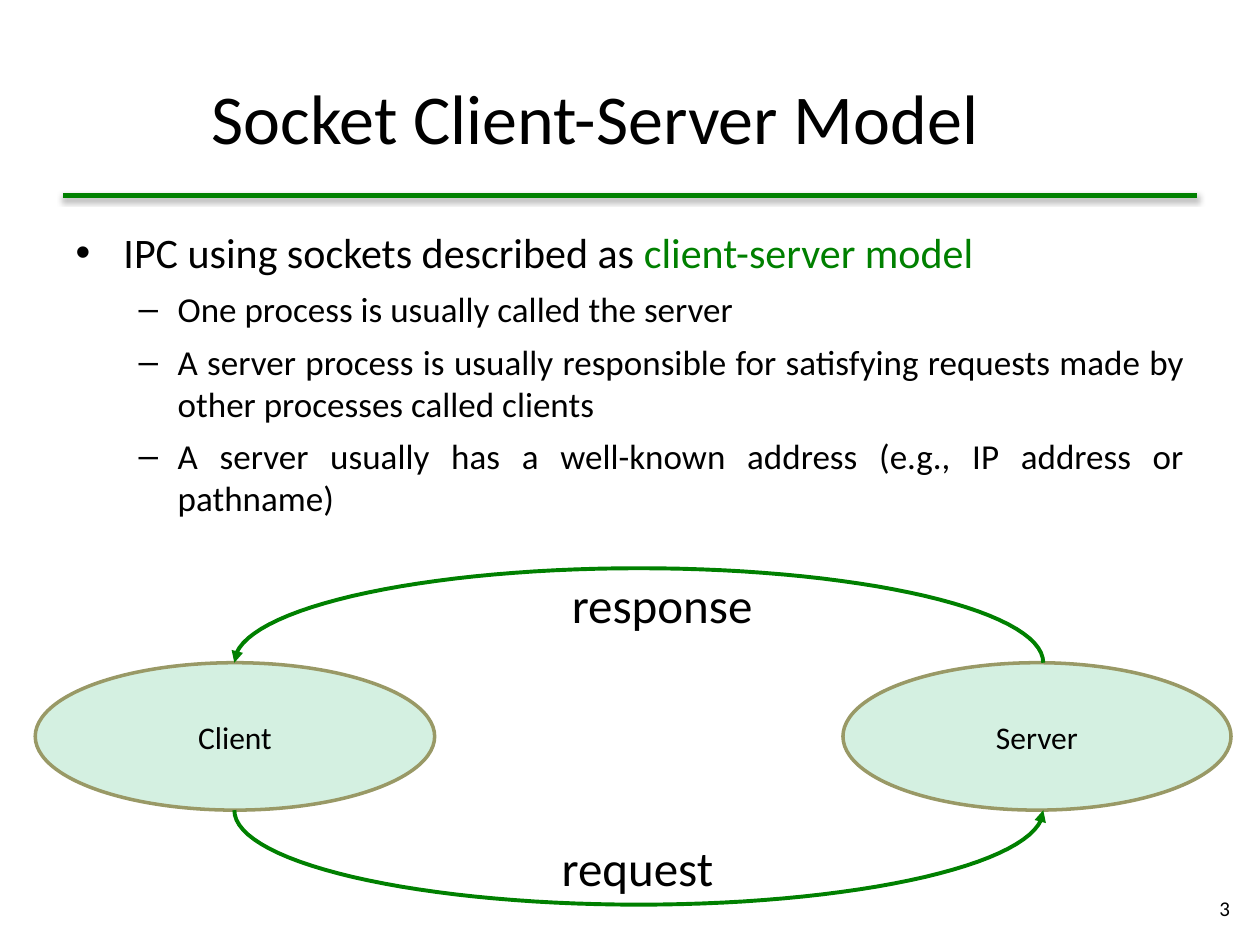
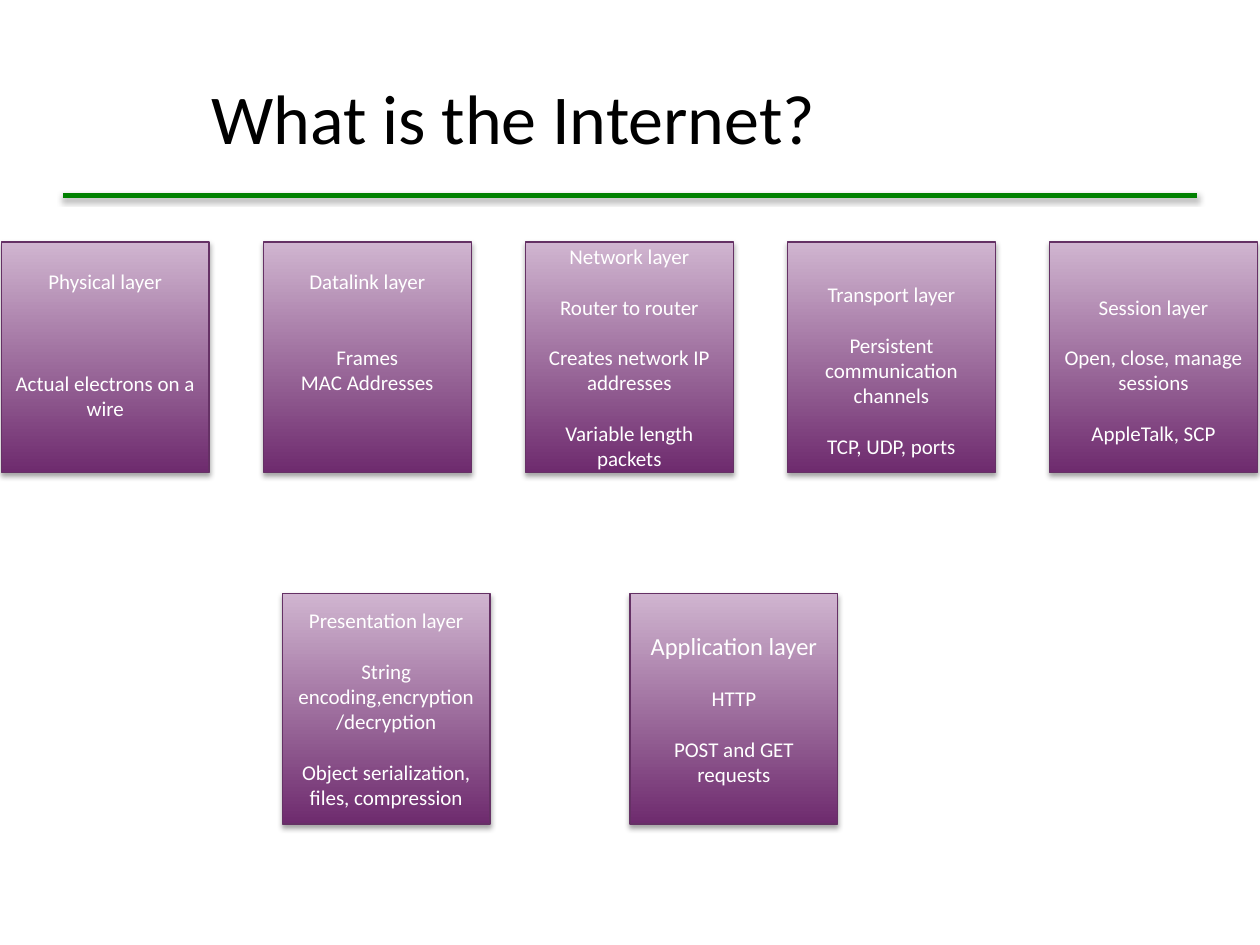
"""Build two slides: the socket client-server model and the Internet layers."""
from math import cos, pi, sin

from lxml import etree
from pptx import Presentation
from pptx.dml.color import RGBColor
from pptx.enum.shapes import MSO_CONNECTOR, MSO_SHAPE
from pptx.enum.text import MSO_ANCHOR, MSO_AUTO_SIZE, PP_ALIGN
from pptx.oxml.ns import qn
from pptx.util import Inches, Pt

LEFT, CENTER, RIGHT, JUSTIFY = PP_ALIGN.LEFT, PP_ALIGN.CENTER, PP_ALIGN.RIGHT, PP_ALIGN.JUSTIFY
MIDDLE = MSO_ANCHOR.MIDDLE
OVAL, RECT = MSO_SHAPE.OVAL, MSO_SHAPE.RECTANGLE
STRAIGHT = MSO_CONNECTOR.STRAIGHT
NO_FIT = MSO_AUTO_SIZE.NONE

FONT = "Calibri"
COLORS = {
    "text": "000000", "green": "008000", "mint": "D4F0E1", "olive": "999966",
    "plum": "6E2B6E", "lilac": "D0B5D0", "edge": "653165", "white": "FFFFFF",
}

MODEL_TITLE = "Socket Client-Server Model"
MODEL_POINTS = [
    (0, [("IPC using sockets described as ", "text"), ("client-server model", "green")]),
    (1, [("One process is usually called the server", "text")]),
    (1, [("A server process is usually responsible for satisfying requests made by "
          "other processes called clients", "text")]),
    (1, [("A server usually has a well-known address (e.g., IP address or pathname)", "text")]),
]
LEVELS = [(24, 0.38, -0.38), (20, 0.81, -0.31)]
NODES = [("Client", 0.28, 3.17), ("Server", 6.69, 3.08)]
NODE_TOP, NODE_H = 5.26, 1.17
ARC_X, ARC_RX, ARC_RY, ARC_STEPS = 5.07, 3.21, 0.75, 60
ARCS = [(NODE_TOP + NODE_H, -1, 1), (NODE_TOP, 1, -1)]
ARC_LABELS = [("request", 4.36, 6.6, 1.49), ("response", 4.44, 4.51, 1.74)]
PAGE_NUMBER = "3"

LAYERS_TITLE = "What is the Internet?"
CARD_W, CARD_H = 1.65, 1.83
LINE_PT = 14.6
LAYER_ROWS = [
    {"left": 0.01, "step": 2.08, "top": 1.92, "cards": [
        {"size": 12, "shift": -1,
         "lines": [(0, "Physical layer"), (3, "Actual electrons on a wire")]},
        {"size": 12, "shift": -2,
         "lines": [(0, "Datalink layer"), (2, "Frames"), (0, "MAC Addresses")]},
        {"size": 12, "shift": 0,
         "lines": [(0, "Network layer"), (1, "Router to router"),
                   (1, "Creates network IP addresses"), (1, "Variable length packets")]},
        {"size": 12, "shift": 1,
         "lines": [(0, "Transport layer"), (1, "Persistent communication channels"),
                   (1, "TCP, UDP, ports")]},
        {"size": 12, "shift": 1,
         "lines": [(0, "Session layer"), (1, "Open, close, manage sessions"),
                   (1, "AppleTalk, SCP")]},
    ]},
    {"left": 2.24, "step": 2.76, "top": 4.71, "cards": [
        {"size": 12, "shift": 0,
         "lines": [(0, "Presentation layer"), (1, "String encoding,encryption/decryption"),
                   (1, "Object serialization, files, compression")]},
        {"size": 14, "shift": 0,
         "lines": [(0, "Application layer"), (1, "HTTP"), (1, "POST and GET requests")]},
    ]},
]


def rgb(name):
    return RGBColor.from_string(COLORS[name])


def box(*lengths):
    return [Inches(n) for n in lengths]


def place(s, *lengths):
    s.left, s.top, s.width, s.height = box(*lengths)


def style(p, size, color="text", align=LEFT):
    p.alignment = align
    p.font.name, p.font.size = FONT, Pt(size)
    p.font.color.rgb = rgb(color)


def outline(s, color, width):
    s.line.color.rgb = rgb(color)
    s.line.width = Pt(width)


def add_shadow(s, alpha, dist):
    spPr = s._element.spPr
    for old in spPr.findall(qn("a:effectLst")):
        spPr.remove(old)
    effects = etree.SubElement(spPr, qn("a:effectLst"))
    outer = etree.SubElement(effects, qn("a:outerShdw"), blurRad=str(Pt(3.1)),
                             dist=str(Pt(dist)), dir="5400000", rotWithShape="0")
    black = etree.SubElement(outer, qn("a:srgbClr"), val=COLORS["text"])
    etree.SubElement(black, qn("a:alpha"), val=str(alpha * 1000))


def add_slide(prs, layout, title):
    s = prs.slides.add_slide(prs.slide_layouts[layout])
    head = s.shapes.title
    place(head, 1.58, 0.3, 8.27, 1.25)
    tf = head.text_frame
    tf.text, tf.vertical_anchor, tf.auto_size = title, MIDDLE, NO_FIT
    style(tf.paragraphs[0], 40)
    rule = s.shapes.add_connector(STRAIGHT, *box(0.5, 1.55, 9.5, 1.55))
    outline(rule, "green", 3)
    add_shadow(rule, 38, 1.6)
    return s


def add_label(s, text, size, lengths, align=LEFT, wrap=False):
    tf = s.shapes.add_textbox(*box(*lengths)).text_frame
    tf.text, tf.word_wrap = text, wrap
    style(tf.paragraphs[0], size, align=align)
    return tf


def add_points(s):
    body = s.placeholders[1]
    place(body, 0.5, 1.75, 9, 5.26)
    tf = body.text_frame
    tf.auto_size = NO_FIT
    for i, (level, runs) in enumerate(MODEL_POINTS):
        p = tf.add_paragraph() if i else tf.paragraphs[0]
        size, margin, indent = LEVELS[level]
        p.level = level
        pPr = p._p.get_or_add_pPr()
        pPr.set("marL", str(Inches(margin)))
        pPr.set("indent", str(Inches(indent)))
        style(p, size, align=JUSTIFY)
        p.space_before, p.space_after = Pt(0), Pt(6)
        for text, color in runs:
            r = p.add_run()
            r.text = text
            r.font.color.rgb = rgb(color)


def add_node(s, text, left, width):
    sp = s.shapes.add_shape(OVAL, *box(left, NODE_TOP, width, NODE_H))
    sp.shadow.inherit = False
    sp.fill.solid()
    sp.fill.fore_color.rgb = rgb("mint")
    outline(sp, "olive", 2)
    tf = sp.text_frame
    tf.text, tf.word_wrap, tf.vertical_anchor = text, False, MIDDLE
    style(tf.paragraphs[0], 18, align=CENTER)


def add_arc(s, base, start, bulge):
    angles = [pi * i / ARC_STEPS for i in range(ARC_STEPS + 1)]
    points = [box(ARC_X + start * ARC_RX * cos(a), base + bulge * ARC_RY * sin(a))
              for a in angles]
    builder = s.shapes.build_freeform(*points[0])
    builder.add_line_segments(points[1:], close=False)
    sp = builder.convert_to_shape()
    sp.shadow.inherit = False
    sp.fill.background()
    outline(sp, "green", 2.25)
    etree.SubElement(sp.line._get_or_add_ln(), qn("a:tailEnd"), type="triangle")


def add_card(s, left, top, card):
    sp = s.shapes.add_shape(RECT, *box(left, top, CARD_W, CARD_H))
    sp.fill.gradient()
    sp.fill.gradient_angle = 90
    for stop, color, position in zip(sp.fill.gradient_stops, ("plum", "lilac"), (0, 1)):
        stop.color.rgb, stop.position = rgb(color), position
    outline(sp, "edge", 0.75)
    add_shadow(sp, 35, 1.8)
    tf = sp.text_frame
    tf.word_wrap, tf.vertical_anchor = True, MIDDLE
    tf.margin_top = Pt(LINE_PT * max(card["shift"], 0))
    tf.margin_bottom = Pt(LINE_PT * max(-card["shift"], 0))
    for i, (gap, text) in enumerate(card["lines"]):
        p = tf.add_paragraph() if i else tf.paragraphs[0]
        p.text = text
        style(p, 12 if i else card["size"], "white", CENTER)
        if gap:
            p.space_before = Pt(LINE_PT * gap)


def main():
    prs = Presentation()
    prs.slide_width, prs.slide_height = box(10, 7.5)

    s = add_slide(prs, 1, MODEL_TITLE)
    add_points(s)
    for node in NODES:
        add_node(s, *node)
    for arc in ARCS:
        add_arc(s, *arc)
    for text, left, top, width in ARC_LABELS:
        add_label(s, text, 28, (left, top, width, 0.57))
    tf = add_label(s, PAGE_NUMBER, 12, (9.46, 7.01, 0.4, 0.4), RIGHT, True)
    tf.vertical_anchor = MIDDLE

    s = add_slide(prs, 5, LAYERS_TITLE)
    for row in LAYER_ROWS:
        for i, card in enumerate(row["cards"]):
            add_card(s, row["left"] + i * row["step"], row["top"], card)

    prs.save("out.pptx")


if __name__ == "__main__":
    main()
